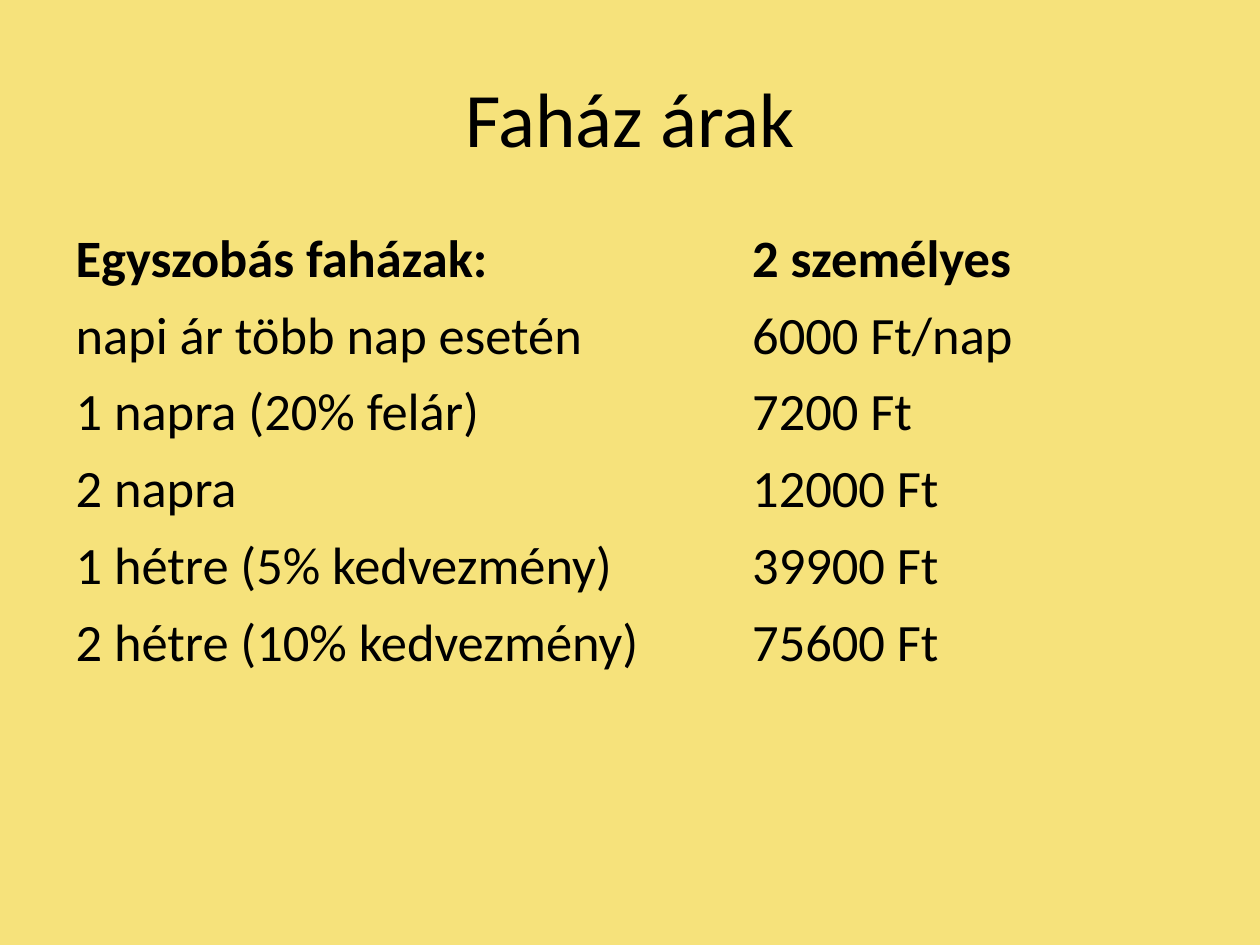
from pptx import Presentation
from pptx.dml.color import RGBColor
from pptx.enum.text import MSO_ANCHOR, PP_ALIGN
from pptx.oxml.ns import qn
from pptx.util import Cm, Pt

MIDDLE = MSO_ANCHOR.MIDDLE
LEFT, CENTER = PP_ALIGN.LEFT, PP_ALIGN.CENTER
FONT = "Calibri"
BACKGROUND, TEXT = "F6E27B", "000000"
NO_STYLE_NO_GRID = "{2D5ABB26-0587-4C30-8999-92F81FD0307C}"
TITLE_ONLY = 5

MARGIN, CONTENT_WIDTH = 1.27, 22.86
COLUMN_WIDTHS = [13.64, 9.22]
ROW_HEIGHT = 1.55
PRICES = [
    ("Egyszobás faházak:", "2 személyes"),
    ("napi ár több nap esetén", "6000 Ft/nap"),
    ("1 napra (20% felár)", "7200 Ft"),
    ("2 napra", "12000 Ft"),
    ("1 hétre (5% kedvezmény)", "39900 Ft"),
    ("2 hétre (10% kedvezmény)", "75600 Ft"),
]


def color(value):
    return RGBColor.from_string(value)


def write(frame, text, size, align, bold=False):
    para = frame.paragraphs[0]
    para.alignment = align
    span = para.add_run()
    span.text = text
    span.font.name = FONT
    span.font.size = Pt(size)
    span.font.bold = bold
    span.font.color.rgb = color(TEXT)


# Page and background
deck = Presentation()
deck.slide_width, deck.slide_height = Cm(25.4), Cm(19.05)
page = deck.slides.add_slide(deck.slide_layouts[TITLE_ONLY])
page.background.fill.solid()
page.background.fill.fore_color.rgb = color(BACKGROUND)

# Title
title = page.shapes.title
title.left, title.top = Cm(MARGIN), Cm(0.76)
title.width, title.height = Cm(CONTENT_WIDTH), Cm(3.18)
title.text_frame.vertical_anchor = MIDDLE
write(title.text_frame, "Faház árak", 44, CENTER)

# Price table without bands or borders
table = page.shapes.add_table(
    len(PRICES), len(COLUMN_WIDTHS), Cm(MARGIN), Cm(4.45),
    Cm(CONTENT_WIDTH), Cm(ROW_HEIGHT * len(PRICES))).table
table.horz_banding = False
table._tbl.tblPr.find(qn("a:tableStyleId")).text = NO_STYLE_NO_GRID
for column, width in zip(table.columns, COLUMN_WIDTHS):
    column.width = Cm(width)

# Cells, with a bold heading row
for row_index, prices in enumerate(PRICES):
    table.rows[row_index].height = Cm(ROW_HEIGHT)
    for column_index, text in enumerate(prices):
        cell = table.cell(row_index, column_index)
        cell.fill.background()
        cell.vertical_anchor = MIDDLE
        write(cell.text_frame, text, 30, LEFT, bold=row_index == 0)

deck.save("out.pptx")
